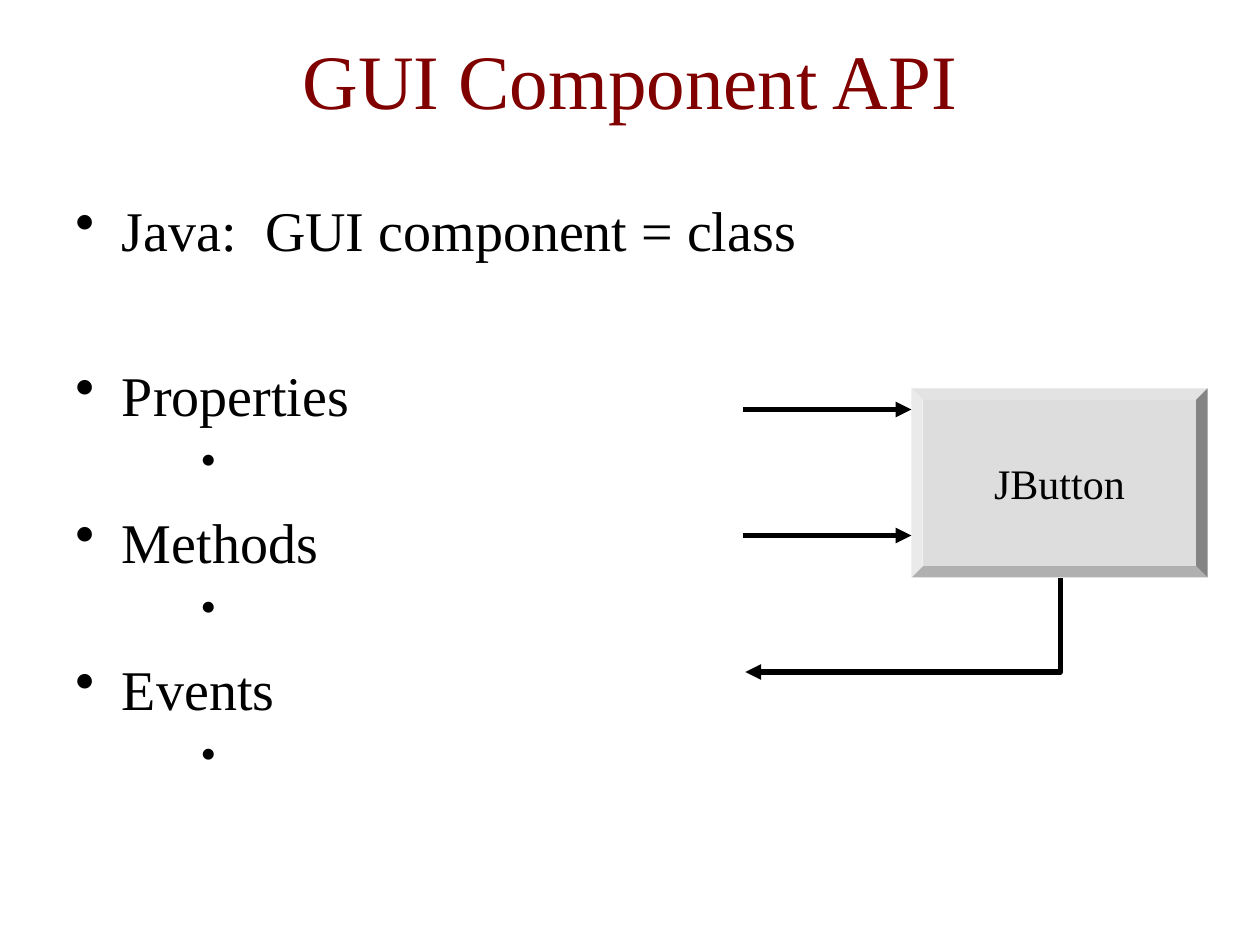
from dataclasses import dataclass
from typing import NamedTuple

from lxml import etree
from pptx import Presentation, util as u
from pptx.dml.color import RGBColor
from pptx.enum import shapes, text
from pptx.oxml.ns import qn


@dataclass(frozen=True)
class Theme:
    font: str = "Times New Roman"
    title_color: RGBColor = RGBColor(0x80, 0x00, 0x00)
    ink: RGBColor = RGBColor(0x00, 0x00, 0x00)
    button: RGBColor = RGBColor(0xDD, 0xDD, 0xDD)
    title_size: int = 44
    topic_size: int = 32
    detail_size: int = 24
    line_width: int = 3


class Area(NamedTuple):
    column: float
    row: float
    columns: float
    rows: float


class Point(NamedTuple):
    column: float
    row: float


class Bullet(NamedTuple):
    words: str
    level: int = 0
    space_before: float = 9.5


THEME = Theme()
COLUMNS, ROWS = 120, 90
CELL = u.Inches(10) // COLUMNS

TITLE = Area(1, 0, 118, 15)
BODY = Area(6, 18, 114, 72)
BUTTON = Area(86.8, 37, 28.2, 18)
ARROW_LEFT = 70.8
INPUT_ROWS = (39, 51)
EVENT_COLUMN, EVENT_ROW = 100.8, 64
TOPICS = ("Properties", "Methods", "Events")
INDENTS = ((0.37, 0.37), (1.25, 0.25))  # left margin and hanging, by level


def cells(count: float) -> int:
    return round(count * CELL)


def style_paragraph(para, size: int, color: RGBColor) -> None:
    para.font.name = THEME.font
    para.font.size = u.Pt(size)
    para.font.color.rgb = color


def add_text_area(page, area: Area):
    box = page.shapes.add_textbox(*map(cells, area))
    box.text_frame.word_wrap = True
    return box.text_frame


def add_title(page, words: str) -> None:
    frame = add_text_area(page, TITLE)
    frame.vertical_anchor = text.MSO_ANCHOR.MIDDLE
    para = frame.paragraphs[0]
    para.text = words
    para.alignment = text.PP_ALIGN.CENTER
    style_paragraph(para, THEME.title_size, THEME.title_color)


def add_bullets(page, bullets: list[Bullet]) -> None:
    frame = add_text_area(page, BODY)
    for index, bullet in enumerate(bullets):
        para = frame.add_paragraph() if index else frame.paragraphs[0]
        para.text = bullet.words
        para.level = bullet.level
        para.space_before = u.Pt(bullet.space_before)
        size = THEME.detail_size if bullet.level else THEME.topic_size
        style_paragraph(para, size, THEME.ink)
        margin, hanging = INDENTS[1 if bullet.level else 0]
        properties = para._p.get_or_add_pPr()
        properties.set("marL", str(u.Inches(margin)))
        properties.set("indent", str(-u.Inches(hanging)))
        mark = etree.Element(qn("a:buChar"), char="•")
        properties.find(qn("a:defRPr")).addprevious(mark)


def add_button(page, words: str) -> None:
    button = page.shapes.add_shape(shapes.MSO_SHAPE.BEVEL, *map(cells, BUTTON))
    button.adjustments[0] = 0.06
    button.shadow.inherit = False
    button.fill.solid()
    button.fill.fore_color.rgb = THEME.button
    button.line.fill.background()
    frame = button.text_frame
    frame.word_wrap = False
    frame.vertical_anchor = text.MSO_ANCHOR.MIDDLE
    para = frame.paragraphs[0]
    para.text = words
    para.alignment = text.PP_ALIGN.CENTER
    style_paragraph(para, THEME.detail_size, THEME.ink)


def style_arrow(arrow) -> None:
    """Give a line its colour, width and end arrowhead, and no shadow."""
    arrow.line.color.rgb = THEME.ink
    arrow.line.width = u.Pt(THEME.line_width)
    etree.SubElement(arrow.line._get_or_add_ln(), qn("a:tailEnd"), type="triangle")
    properties = arrow._element.spPr
    if properties.find(qn("a:effectLst")) is None:
        etree.SubElement(properties, qn("a:effectLst"))


def add_arrow(page, start: Point, end: Point) -> None:
    ends = map(cells, (*start, *end))
    style_arrow(page.shapes.add_connector(shapes.MSO_CONNECTOR.STRAIGHT, *ends))


def add_bent_arrow(page, start: Point, *rest: Point) -> None:
    builder = page.shapes.build_freeform(*start, scale=CELL)
    builder.add_line_segments(rest, close=False)
    arrow = builder.convert_to_shape()
    arrow.fill.background()
    style_arrow(arrow)


def main() -> None:
    deck = Presentation()
    deck.slide_width, deck.slide_height = cells(COLUMNS), cells(ROWS)
    page = deck.slides.add_slide(deck.slide_layouts[6])

    add_title(page, "GUI Component API")
    bullets = [Bullet("Java:  GUI component = class", space_before=8)]
    for index, topic in enumerate(TOPICS):
        bullets.append(Bullet(topic, space_before=9.5 if index else 56))
        bullets.append(Bullet(" ", level=2, space_before=7.2))
    add_bullets(page, bullets)

    add_button(page, "JButton")
    for row in INPUT_ROWS:
        add_arrow(page, Point(ARROW_LEFT, row), Point(BUTTON.column, row))
    add_bent_arrow(
        page,
        Point(EVENT_COLUMN, BUTTON.row + BUTTON.rows),
        Point(EVENT_COLUMN, EVENT_ROW),
        Point(ARROW_LEFT, EVENT_ROW),
    )
    deck.save("out.pptx")


if __name__ == "__main__":
    main()
